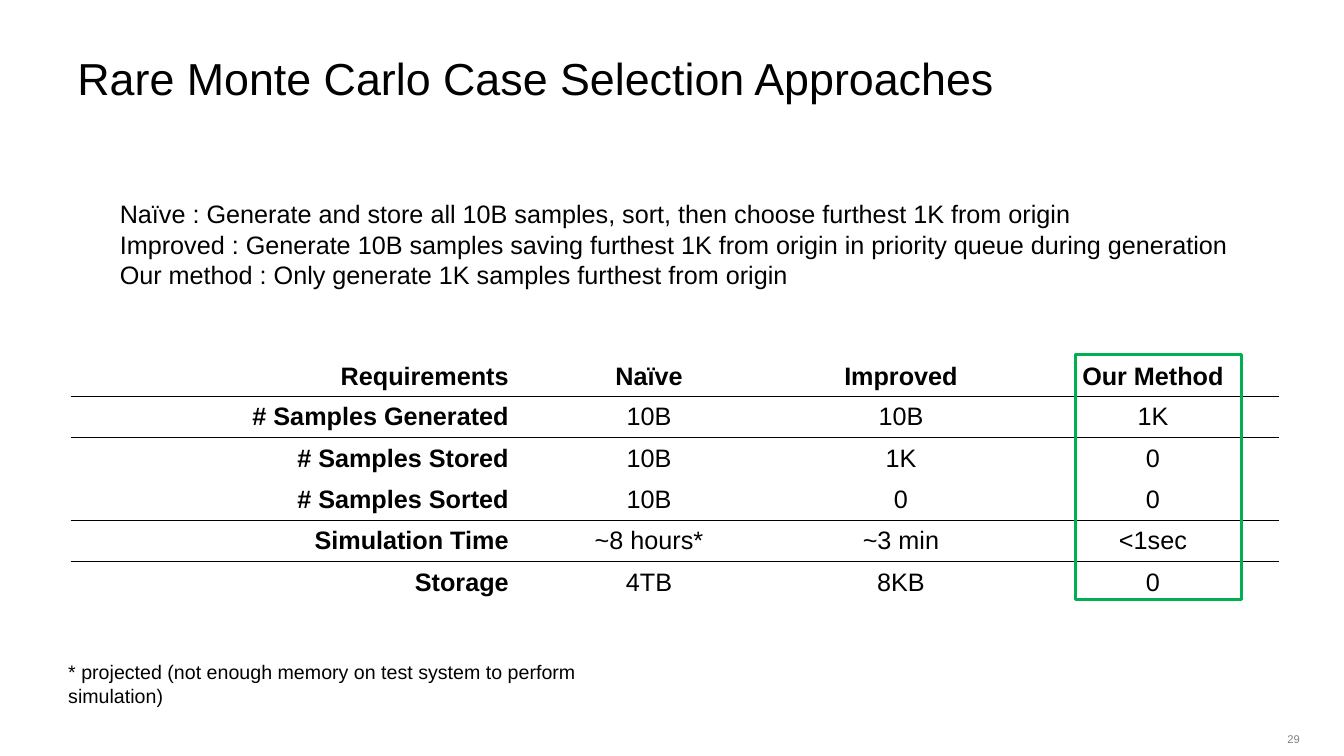
from lxml.etree import SubElement
from pptx import Presentation
from pptx.dml.color import RGBColor
from pptx.enum.shapes import MSO_SHAPE
from pptx.enum.text import MSO_ANCHOR, PP_ALIGN
from pptx.oxml.ns import qn
from pptx.util import Cm, Pt

BLACK = RGBColor(0x00, 0x00, 0x00)
GRAY = RGBColor(0x80, 0x80, 0x80)
GREEN = RGBColor(0x00, 0xB0, 0x50)
FONT = "Arial"

APPROACHES = [
    "Naïve : Generate and store all 10B samples, sort, then choose furthest 1K from origin",
    "Improved : Generate 10B samples saving furthest 1K from origin in priority queue during generation",
    "Our method : Only generate 1K samples furthest from origin",
]
REQUIREMENTS = [
    ["Requirements", "Naïve", "Improved", "Our Method"],
    ["# Samples Generated", "10B", "10B", "1K"],
    ["# Samples Stored", "10B", "1K", "0"],
    ["# Samples Sorted", "10B", "0", "0"],
    ["Simulation Time", "~8 hours*", "~3 min", "<1sec"],
    ["Storage", "4TB", "8KB", "0"],
]
RULED_ROWS = {0, 1, 3, 4}
COLUMN_WIDTHS = [11.4, 6.35, 6.35, 6.35]
ROW_HEIGHTS = [0.93] + [1.04] * 5


def style_paragraph(para, size, color=BLACK, bold=False, align=PP_ALIGN.LEFT):
    """Set the font and alignment of one paragraph."""
    para.alignment = align
    para.font.name = FONT
    para.font.size = Pt(size)
    para.font.bold = bold
    para.font.color.rgb = color


def add_text(page, left, top, width, height, lines, size, color=BLACK,
             align=PP_ALIGN.LEFT, anchor=MSO_ANCHOR.TOP):
    """Add a text box with one paragraph per line."""
    box = page.shapes.add_textbox(Cm(left), Cm(top), Cm(width), Cm(height))
    frame = box.text_frame
    frame.word_wrap = True
    frame.vertical_anchor = anchor
    frame.text = "\n".join(lines)
    for para in frame.paragraphs:
        style_paragraph(para, size, color, align=align)


def set_borders(cell, ruled_sides):
    """Draw the ruled sides of a cell in black and clear the others."""
    properties = cell._tc.get_or_add_tcPr()
    for side in ("lnL", "lnR", "lnT", "lnB"):
        line = SubElement(properties, qn(f"a:{side}"), w=str(Pt(1)))
        if side in ruled_sides:
            fill = SubElement(line, qn("a:solidFill"))
            SubElement(fill, qn("a:srgbClr"), val=str(BLACK))
        else:
            SubElement(line, qn("a:noFill"))


def fill_cell(cell, text, row, column):
    """Write and style one cell of the requirements table."""
    ruled_sides = set()
    if row - 1 in RULED_ROWS:
        ruled_sides.add("lnT")
    if row in RULED_ROWS:
        ruled_sides.add("lnB")
    set_borders(cell, ruled_sides)
    cell.fill.background()
    cell.vertical_anchor = MSO_ANCHOR.MIDDLE
    cell.margin_left = cell.margin_right = Cm(0.36)
    cell.margin_top = cell.margin_bottom = Cm(0.12)
    cell.text = text
    style_paragraph(cell.text_frame.paragraphs[0], 18, bold=row == 0 or column == 0,
                    align=PP_ALIGN.CENTER if column else PP_ALIGN.RIGHT)


def add_requirements_table(page, left, top):
    """Add the table that compares the three approaches."""
    table = page.shapes.add_table(
        len(ROW_HEIGHTS), len(COLUMN_WIDTHS), Cm(left), Cm(top),
        Cm(sum(COLUMN_WIDTHS)), Cm(sum(ROW_HEIGHTS))).table
    table.horz_banding = False
    table.first_row = False
    for column, width in zip(table.columns, COLUMN_WIDTHS):
        column.width = Cm(width)
    for row, height in zip(table.rows, ROW_HEIGHTS):
        row.height = Cm(height)
    for row, texts in enumerate(REQUIREMENTS):
        for column, text in enumerate(texts):
            fill_cell(table.cell(row, column), text, row, column)


def add_highlight(page, left, top, width, height):
    """Add an unfilled green frame."""
    frame = page.shapes.add_shape(
        MSO_SHAPE.RECTANGLE, Cm(left), Cm(top), Cm(width), Cm(height))
    frame.shadow.inherit = False
    frame.fill.background()
    frame.line.color.rgb = GREEN
    frame.line.width = Pt(2)


def main():
    """Build the slide and save it."""
    deck = Presentation()
    deck.slide_width, deck.slide_height = Cm(33.87), Cm(19.05)
    page = deck.slides.add_slide(deck.slide_layouts[6])
    add_text(page, 31.42, 18.34, 2.36, 0.61, ["29"], 8, GRAY, PP_ALIGN.CENTER)
    add_text(page, 1.7, 0.18, 32.17, 2.57, ["Rare Monte Carlo Case Selection Approaches"],
             32, anchor=MSO_ANCHOR.BOTTOM)
    add_requirements_table(page, 1.78, 8.99)
    add_text(page, 2.77, 4.88, 28.7, 2.57, APPROACHES, 18)
    add_text(page, 1.47, 16.51, 15.24, 0.86,
             ["* projected (not enough memory on test system to perform simulation)"], 14)
    add_highlight(page, 27.1, 8.94, 4.19, 6.17)
    deck.save("out.pptx")


if __name__ == "__main__":
    main()
